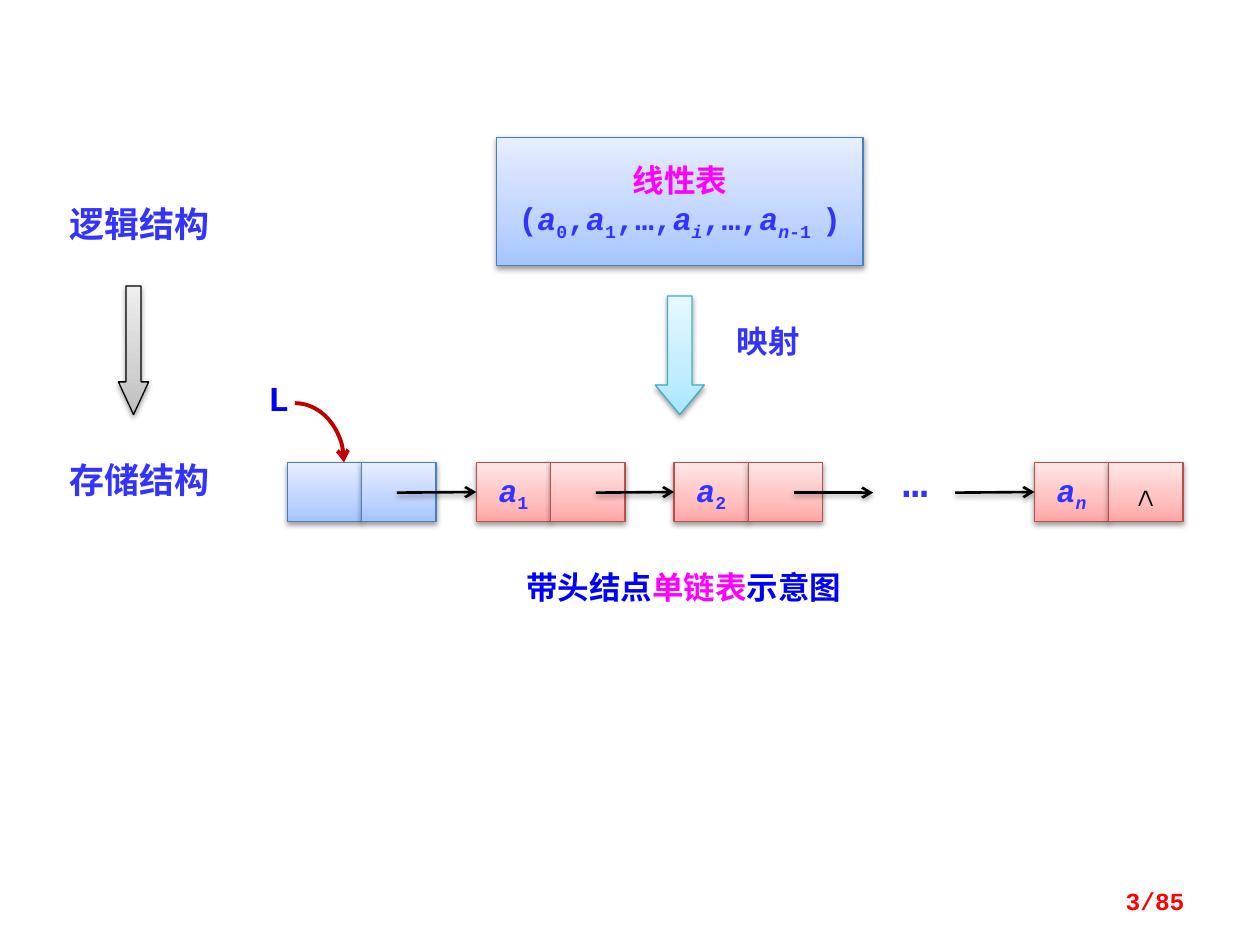
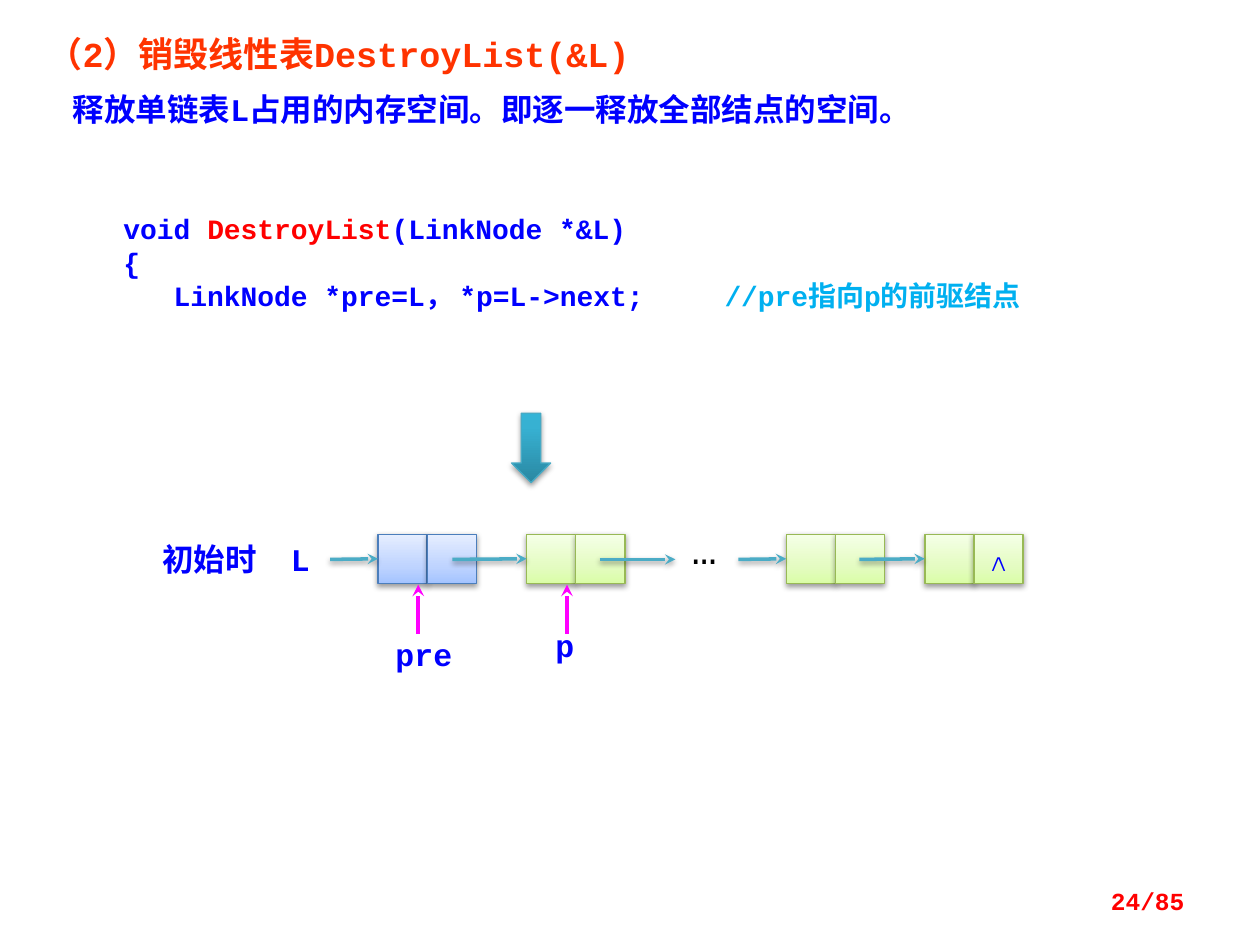
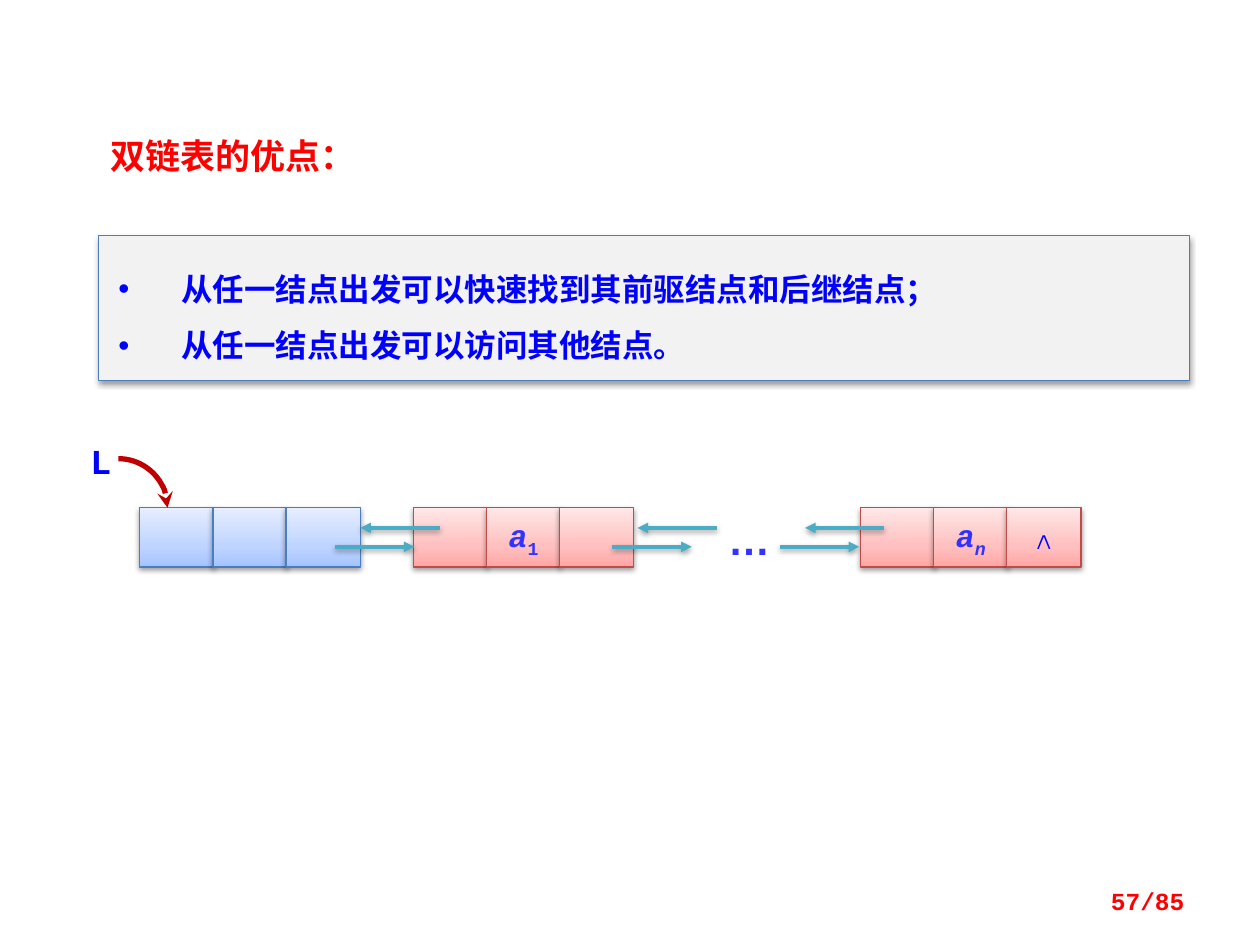
from copy import deepcopy

from lxml import etree
from pptx import Presentation
from pptx.dml.color import RGBColor
from pptx.enum import shapes, text
from pptx.oxml.ns import qn
from pptx.util import Inches, Pt

MONO, SANS, CJK = "Courier New", "Arial", "Noto Sans CJK SC"
BLUE = RGBColor(0x00, 0x00, 0xFF)
INDIGO = RGBColor(0x33, 0x33, 0xFF)
MAGENTA = RGBColor(0xFF, 0x00, 0xFF)
RED = RGBColor(0xFF, 0x00, 0x00)
ORANGE = RGBColor(0xFF, 0x33, 0x00)
SKY = RGBColor(0x00, 0xB0, 0xF0)
TEAL = RGBColor(0x4B, 0xAC, 0xC6)
CRIMSON = RGBColor(0xC0, 0x00, 0x00)
BLACK = RGBColor(0x00, 0x00, 0x00)
WHITE = RGBColor(0xFF, 0xFF, 0xFF)
PALE_GREY = RGBColor(0xF2, 0xF2, 0xF2)
BLUE_EDGE = RGBColor(0x4B, 0x7E, 0xBC)
RED_EDGE = RGBColor(0xBF, 0x4C, 0x48)
GREEN_EDGE = RGBColor(0x98, 0xB9, 0x55)
TEAL_EDGE = RGBColor(0x46, 0xAA, 0xC5)


def ramp(*colors, middle=0.35):
    """Gradient stops from the bottom of a shape to its top."""
    return list(zip((0, middle, 1), map(RGBColor.from_string, colors)))


# Each look is a fill (a colour or gradient stops) and an outline colour.
HEAD_NODE = ramp("A4C4FF", "BFD4FF", "E6EEFF"), BLUE_EDGE
RED_NODE = ramp("FFA6A5", "FFC0BF", "FFE7E7"), RED_EDGE
GREEN_NODE = ramp("DAFDA7", "E4FCC2", "F5FFE7"), GREEN_EDGE
GREY_ARROW = ramp("BDBDBD", "D1D1D1", "EEEEEE"), BLACK
CYAN_ARROW = ramp("A7E6FF", "C1EDFF", "E7F8FF"), TEAL_EDGE
TEAL_ARROW = ramp("2A88A2", "37B1D2", "34B4D6", middle=0.8), TEAL_EDGE
BULLET_PANEL = PALE_GREY, BLUE_EDGE
CODE_PANEL = WHITE, None

LEFT, CENTER, RIGHT = (text.PP_ALIGN.LEFT, text.PP_ALIGN.CENTER,
                       text.PP_ALIGN.RIGHT)


def write(p, words, size=18, color=BLUE, bold=True, italic=False, sub=False,
          font=MONO):
    r = p.add_run()
    r.text = words
    f = r.font
    f.size, f.bold, f.italic, f.name = Pt(size), bold, italic, font
    f.color.rgb = color
    rpr = r._r.get_or_add_rPr()
    etree.SubElement(rpr, qn("a:ea"), typeface=CJK)
    if sub:
        rpr.set("baseline", "-25000")


def run(words, **fmt):
    return words, fmt


def var(name, index, italic_index=False):
    """Runs for an italic name with a subscript."""
    return [run(name, color=INDIGO, italic=True),
            run(index, color=INDIGO, italic=italic_index, sub=True)]


def add_shadow(effects):
    shadow = etree.SubElement(effects, qn("a:outerShdw"), blurRad="40000",
                              dist="20000", dir="5400000", rotWithShape="0")
    color = etree.SubElement(shadow, qn("a:srgbClr"), val="000000")
    etree.SubElement(color, qn("a:alpha"), val="38000")


def style_line(sp, color, width, tip):
    sp.line.color.rgb = color
    sp.line.width = Pt(width)
    etree.SubElement(sp.line._get_or_add_ln(), qn("a:tailEnd"), type=tip)


class Deck:
    """Holds the presentation, its shared style and the current slide."""

    def __init__(self):
        self.prs = Presentation()
        self.prs.slide_width, self.prs.slide_height = Inches(10), Inches(7.5)

    def new_slide(self, number):
        self.s = self.prs.slides.add_slide(self.prs.slide_layouts[6])
        self.label(7.17, 6.95, 2.33, 0.4,
                   [run(f"{number}/85", size=14, color=RED)], align=RIGHT,
                   anchor=text.MSO_ANCHOR.MIDDLE)

    def fill_text(self, sp, paragraphs, align=LEFT, wrap=True,
                  anchor=text.MSO_ANCHOR.TOP):
        tf = sp.text_frame
        tf.word_wrap, tf.vertical_anchor = wrap, anchor
        for i, runs in enumerate(paragraphs):
            p = tf.paragraphs[0] if i == 0 else tf.add_paragraph()
            p.alignment = align
            for words, fmt in runs:
                write(p, words, **fmt)
        return tf

    def label(self, x, y, w, h, *paragraphs, **layout):
        box = self.s.shapes.add_textbox(*map(Inches, (x, y, w, h)))
        return self.fill_text(box, paragraphs, **layout)

    def shape(self, kind, x, y, w, h, look, adjust=()):
        sp = self.s.shapes.add_shape(kind, *map(Inches, (x, y, w, h)))
        fill, edge = look
        if isinstance(fill, RGBColor):
            sp.fill.solid()
            sp.fill.fore_color.rgb = fill
        else:
            sp.fill.gradient()
            sp.fill.gradient_angle = 90
            stops = next(sp._element.spPr.iter(qn("a:gsLst")))
            stops.append(deepcopy(stops[-1]))
            for stop, (position, color) in zip(sp.fill.gradient_stops, fill):
                stop.position, stop.color.rgb = position, color
        sp.shadow.inherit = False
        if edge is None:
            sp.line.fill.background()
        else:
            sp.line.color.rgb, sp.line.width = edge, Pt(0.75)
            add_shadow(sp._element.spPr.find(qn("a:effectLst")))
        for i, value in enumerate(adjust):
            sp.adjustments[i] = value
        return sp

    def rect(self, *args):
        return self.shape(shapes.MSO_SHAPE.RECTANGLE, *args)

    def down_arrow(self, *args, head=0.5):
        self.shape(shapes.MSO_SHAPE.DOWN_ARROW, *args, adjust=(0.5, head))

    def centered(self, sp, *paragraphs):
        self.fill_text(sp, paragraphs, CENTER, False, text.MSO_ANCHOR.MIDDLE)

    def node(self, x, y, w, h, look, labels, step=None):
        """A list node: one cell for each label, None for an empty cell."""
        cells = [self.rect(x + i * (step or w), y, w, h, look)
                 for i in range(len(labels))]
        for cell, runs in zip(cells, labels):
            if runs:
                self.centered(cell, runs)
        return cells

    def arrow(self, x1, y1, x2, y2, color=TEAL, width=2, tip="stealth",
              target=None, shadow=True):
        """Arrow that joins the left side of target, if there is one."""
        cn = self.s.shapes.add_connector(
            shapes.MSO_CONNECTOR.STRAIGHT, *map(Inches, (x1, y1, x2, y2)))
        if target is not None:
            cn.end_connect(target, 1)
        style_line(cn, color, width, tip)
        effects = etree.SubElement(cn._element.spPr, qn("a:effectLst"))
        if shadow:
            add_shadow(effects)

    def curved_arrow(self, x, y, w, h, width, tip):
        """Quarter turn from (x, y), going right and then down."""
        arc = self.s.shapes.add_shape(
            shapes.MSO_SHAPE.ARC, *map(Inches, (x - w, y, 2 * w, 2 * h)))
        arc.fill.background()
        arc.shadow.inherit = False
        style_line(arc, CRIMSON, width, tip)


def mapping_slide(d):
    d.new_slide(3)
    symbol = lambda words: run(words, color=INDIGO)
    d.centered(
        d.rect(3.94, 1.09, 2.91, 1.02, HEAD_NODE),
        [run("线性表", color=MAGENTA)],
        [symbol("("), *var("a", "0"), symbol(","), *var("a", "1"),
         symbol(",…,"), *var("a", "i", True), symbol(",…,"),
         *var("a", "n", True), run("-1 ", color=INDIGO, sub=True),
         symbol(")")])
    d.down_arrow(5.2, 2.35, 0.39, 0.94, CYAN_ARROW, head=0.6)
    d.label(5.75, 2.51, 1.09, 0.4, [run("映射", color=INDIGO, font=CJK)])
    for y, words in (1.56, "逻辑结构"), (3.59, "存储结构"):
        d.label(0.16, y, 1.89, 0.44,
                [run(words, size=20, color=INDIGO, font=CJK)], align=CENTER)
    d.down_arrow(0.94, 2.27, 0.24, 1.02, GREY_ARROW, head=1.08)
    d.label(3.59, 4.46, 3.67, 0.4,
            [run("带头结点"), run("单链表", color=MAGENTA), run("示意图")],
            align=CENTER)

    end_mark = [run("∧", size=20, color=BLACK)]
    nodes = [d.node(x, 3.67, 0.59, 0.47, look, labels)
             for x, look, labels in (
                 (2.28, HEAD_NODE, (None, None)),
                 (3.78, RED_NODE, (var("a", "1"), None)),
                 (5.35, RED_NODE, (var("a", "2"), None)),
                 (8.21, RED_NODE, (var("a", "n", True), end_mark)))]
    d.label(6.95, 3.57, 0.63, 0.5, [run("…", size=24, color=INDIGO)],
            align=CENTER)
    d.label(2.03, 2.94, 0.47, 0.44, [run("L", size=20)])
    targets = nodes[1][0], nodes[2][0], None, nodes[3][0]
    for x, target in zip((3.15, 4.73, 6.3, 7.58), targets):
        d.arrow(x, 3.91, x + 0.63, 3.91, BLACK, 1.5, "arrow", target)
    d.curved_arrow(2.34, 3.2, 0.39, 0.47, 2.25, "arrow")


def destroy_slide(d):
    d.new_slide(24)
    tf = d.label(0.23, 0.21, 9.45, 0.94,
                 [run("（2）销毁线性表DestroyList(&L)", size=20, color=ORANGE)],
                 [run("释放单链表L占用的内存空间。即逐一释放全部结点的空间。")])
    for p, indent in zip(tf.paragraphs, (0.05, 0.25)):
        p._p.get_or_add_pPr().set("marL", str(Inches(indent)))
    tf.paragraphs[1].space_before = Pt(9)

    tf = d.fill_text(
        d.rect(0.78, 1.56, 8.05, 1.32, CODE_PANEL),
        [[run("void ", size=16), run("DestroyList", size=16, color=RED),
          run("(LinkNode *&L)", size=16)],
         [run("{", size=16)],
         [run("   LinkNode *pre=L， *p=L->next;\t", size=16),
          run("//pre指向p的前驱结点", size=16, color=SKY)]])
    tf.margin_left, tf.margin_top = Inches(0.2), Inches(0.12)
    tabs = etree.SubElement(tf.paragraphs[2]._p.get_or_add_pPr(),
                            qn("a:tabLst"))
    etree.SubElement(tabs, qn("a:tab"), pos=str(Inches(4.77)), algn="l")

    nodes = [d.node(x, 4.24, 0.39, 0.39, look, (None, mark))
             for x, look, mark in ((3, HEAD_NODE, None),
                                   (4.18, GREEN_NODE, None),
                                   (6.24, GREEN_NODE, None),
                                   (7.34, GREEN_NODE, [run("∧")]))]
    head, first, middle, last = (cells[0] for cells in nodes)
    for x1, x2, target in ((2.62, 3, head), (3.59, 4.18, first),
                           (4.76, 5.36, None), (5.86, 6.24, middle),
                           (6.82, 7.34, last)):
        d.arrow(x1, 4.44, x2, 4.44, target=target)
    d.label(5.39, 4.1, 0.79, 0.5,
            [run("…", size=24, color=BLACK, bold=False)])
    for x, y, w, words in ((1.19, 4.24, 1.1, "初始时"), (2.21, 4.24, 0.39, "L"),
                           (3.04, 4.99, 0.79, "pre"), (4.31, 4.92, 0.37, "p")):
        d.label(x, y, w, 0.4, [run(words)])
    for x in (3.32, 4.5):
        d.arrow(x, 5.03, x, 4.64, MAGENTA, 2.25, shadow=False)
    d.down_arrow(4.06, 3.28, 0.31, 0.55, TEAL_ARROW)


def double_list_slide(d):
    d.new_slide(57)
    tf = d.fill_text(d.rect(0.78, 1.87, 8.66, 1.15, BULLET_PANEL),
                     [[run("从任一结点出发可以快速找到其前驱结点和后继结点；")],
                      [run("从任一结点出发可以访问其他结点。")]])
    tf.margin_left, tf.margin_top = Inches(0.16), Inches(0.12)
    for p in tf.paragraphs:
        ppr = p._p.get_or_add_pPr()
        ppr.set("marL", str(Inches(0.5)))
        ppr.set("indent", str(Inches(-0.5)))
        etree.SubElement(ppr, qn("a:buFont"), typeface=SANS)
        etree.SubElement(ppr, qn("a:buChar"), char="•")
        p.line_spacing = 1.5
    d.label(0.78, 1.02, 5.43, 0.44,
            [run("双链表的优点：", size=20, color=RED)])

    for x, look, labels in (
            (1.11, HEAD_NODE, (None, None, None)),
            (3.28, RED_NODE, (None, var("a", "1"), None)),
            (6.83, RED_NODE, (None, var("a", "n", True), [run("∧")]))):
        d.node(x, 4.03, 0.59, 0.47, look, labels, step=0.58)
    d.label(5.63, 4.03, 0.63, 0.5,
            [run("…", size=24, color=INDIGO, font=SANS)], align=CENTER)
    d.label(0.62, 3.44, 0.47, 0.44, [run("L", size=20)])
    d.curved_arrow(0.94, 3.64, 0.39, 0.39, 3, "stealth")
    for x in (2.66, 4.86, 6.19):
        d.arrow(x, 4.34, x + 0.63, 4.34, tip="triangle")
        d.arrow(x + 0.83, 4.19, x + 0.2, 4.19, tip="triangle")


def main():
    d = Deck()
    mapping_slide(d)
    destroy_slide(d)
    double_list_slide(d)
    d.prs.save("out.pptx")


if __name__ == "__main__":
    main()
